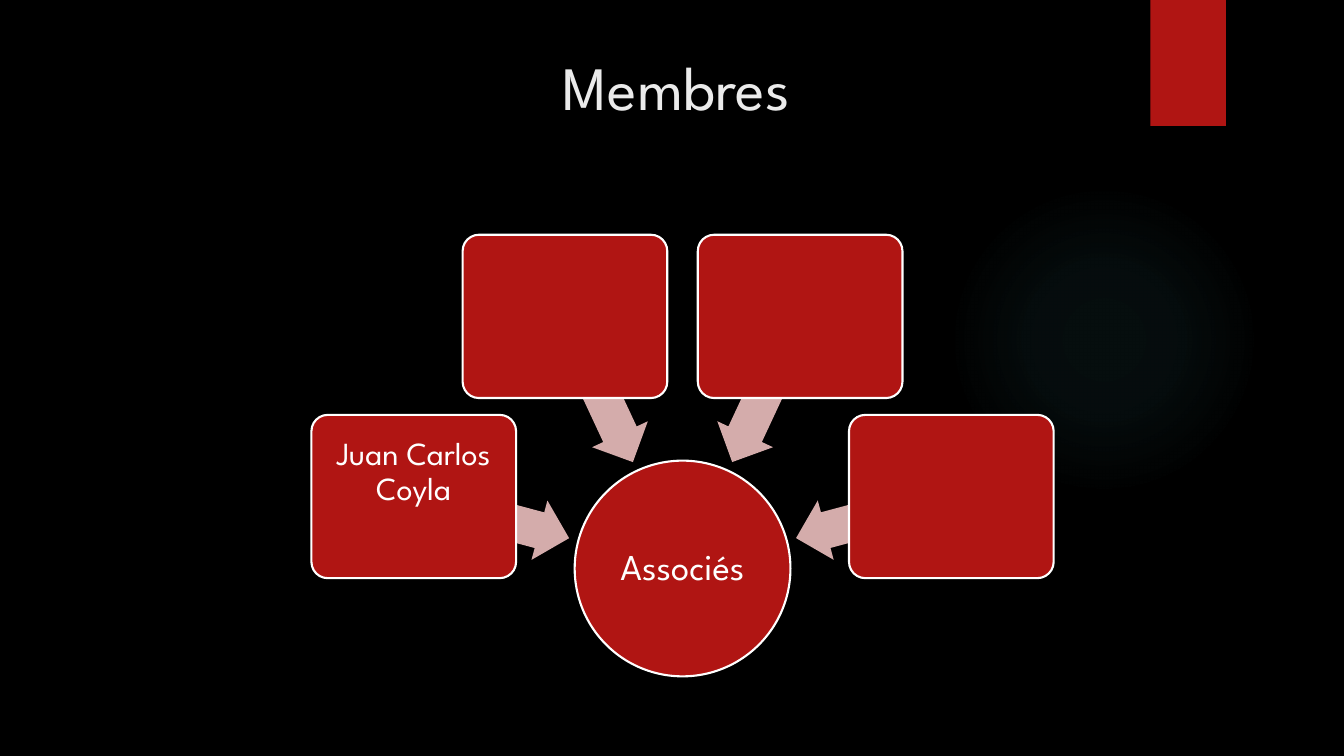
import math
from dataclasses import dataclass

from lxml import etree
from pptx import Presentation
from pptx import util as u
from pptx.dml.color import RGBColor
from pptx.enum import shapes, text
from pptx.oxml import ns, parse_xml


@dataclass(frozen=True)
class Theme:
    font: str = "League Spartan"
    background: str = "000000"
    red: str = "B01513"
    arrow: str = "D4ACAB"
    glow: str = "50B9C1"
    title: str = "EBEBEB"
    white: str = "FFFFFF"
    title_size: float = 44
    hub_size: float = 26
    member_size: float = 23
    outline: float = 1.5


@dataclass(frozen=True)
class Member:
    angle: int
    name: str = ""


THEME = Theme()
HUB_X, HUB_Y, HUB_SIZE = 6.77, 5.64, 2.14
CARD_RADIUS, CARD_WIDTH, CARD_HEIGHT = 2.76, 2.03, 1.62
ARROW_RADIUS, ARROW_WIDTH, ARROW_HEIGHT = 1.96, 1.59, 0.61
MEMBERS = [Member(195, "Juan Carlos Coyla"), Member(245), Member(295), Member(345)]


def add_shape(page, kind, left: float, top: float, width: float, height: float,
              color: str, outlined: bool = False):
    shape = page.shapes.add_shape(kind, *map(u.Inches, (left, top, width, height)))
    shape.shadow.inherit = False
    shape.fill.solid()
    shape.fill.fore_color.rgb = RGBColor.from_string(color)
    if outlined:
        shape.line.color.rgb = RGBColor.from_string(THEME.white)
        shape.line.width = u.Pt(THEME.outline)
    else:
        shape.line.fill.background()
    return shape


def add_radial(page, kind, radius: float, angle: int, width: float, height: float,
               color: str, outlined: bool = False):
    """Centre a shape at a distance and angle from the hub."""
    x = HUB_X + radius * math.cos(math.radians(angle))
    y = HUB_Y + radius * math.sin(math.radians(angle))
    return add_shape(page, kind, x - width / 2, y - height / 2, width, height,
                     color, outlined)


def write(box, words: str, size: float, color: str, anchor, margin: float,
          bottom: float, spacing: float = 1.0) -> None:
    frame = box.text_frame
    frame.word_wrap = True
    frame.vertical_anchor = anchor
    frame.margin_left = frame.margin_right = frame.margin_top = u.Inches(margin)
    frame.margin_bottom = u.Inches(bottom)
    para = frame.paragraphs[0]
    para.alignment = text.PP_ALIGN.CENTER
    para.line_spacing = spacing
    span = para.add_run()
    span.text = words
    span.font.name = THEME.font
    span.font.size = u.Pt(size)
    span.font.color.rgb = RGBColor.from_string(color)


def add_glow(page) -> None:
    glow = add_shape(page, shapes.MSO_SHAPE.OVAL, 9.41, 1.83, 3.08, 3.08, THEME.glow)
    stops = "".join(
        f'<a:gs pos="{place * 1000}"><a:srgbClr val="{THEME.glow}">'
        f'<a:alpha val="{alpha * 1000}"/></a:srgbClr></a:gs>'
        for place, alpha in ((0, 7), (36, 6), (69, 0)))
    gradient = parse_xml(
        f'<a:gradFill {ns.nsdecls("a")}><a:gsLst>{stops}</a:gsLst><a:path path="circle">'
        '<a:fillToRect l="50000" t="50000" r="50000" b="50000"/></a:path></a:gradFill>')
    properties = glow.element.spPr
    properties.replace(properties.find(ns.qn("a:solidFill")), gradient)


def add_ribbon(page) -> None:
    ribbon = add_shape(page, shapes.MSO_SHAPE.RECTANGLE, 11.41, 0, 0.75, 1.25, THEME.red)
    effects = ribbon.element.spPr.find(ns.qn("a:effectLst"))
    shadow = etree.SubElement(effects, ns.qn("a:outerShdw"), blurRad=str(u.Pt(3)),
                              dist=str(u.Pt(2)), dir="5400000", rotWithShape="0")
    tint = etree.SubElement(shadow, ns.qn("a:srgbClr"), val="000000")
    etree.SubElement(tint, ns.qn("a:alpha"), val="45000")


def add_member(page, member: Member) -> None:
    arrow = add_radial(page, shapes.MSO_SHAPE.LEFT_ARROW, ARROW_RADIUS, member.angle,
                       ARROW_WIDTH, ARROW_HEIGHT, THEME.arrow)
    arrow.rotation = member.angle
    arrow.adjustments[0] = 0.6
    arrow.adjustments[1] = 0.5
    card = add_radial(page, shapes.MSO_SHAPE.ROUNDED_RECTANGLE, CARD_RADIUS, member.angle,
                      CARD_WIDTH, CARD_HEIGHT, THEME.red, outlined=True)
    card.adjustments[0] = 0.1
    if member.name:
        write(card, member.name, THEME.member_size, THEME.white,
              text.MSO_ANCHOR.MIDDLE, 0.05, 0.52, 0.9)


def main() -> None:
    deck = Presentation()
    deck.slide_width, deck.slide_height = u.Inches(13.33), u.Inches(7.5)
    page = deck.slides.add_slide(deck.slide_layouts[6])
    page.background.fill.solid()
    page.background.fill.fore_color.rgb = RGBColor.from_string(THEME.background)
    add_glow(page)
    add_ribbon(page)
    title = page.shapes.add_textbox(*map(u.Inches, (1.47, 0.44, 10.48, 1.42)))
    write(title, "Membres", THEME.title_size, THEME.title, text.MSO_ANCHOR.TOP, 0.05, 0.05)
    hub = add_radial(page, shapes.MSO_SHAPE.OVAL, 0, 0, HUB_SIZE, HUB_SIZE,
                     THEME.red, outlined=True)
    write(hub, "Associés", THEME.hub_size, THEME.white, text.MSO_ANCHOR.MIDDLE,
          0.02, 0.02, 0.9)
    for member in MEMBERS:
        add_member(page, member)
    deck.save("out.pptx")


if __name__ == "__main__":
    main()
